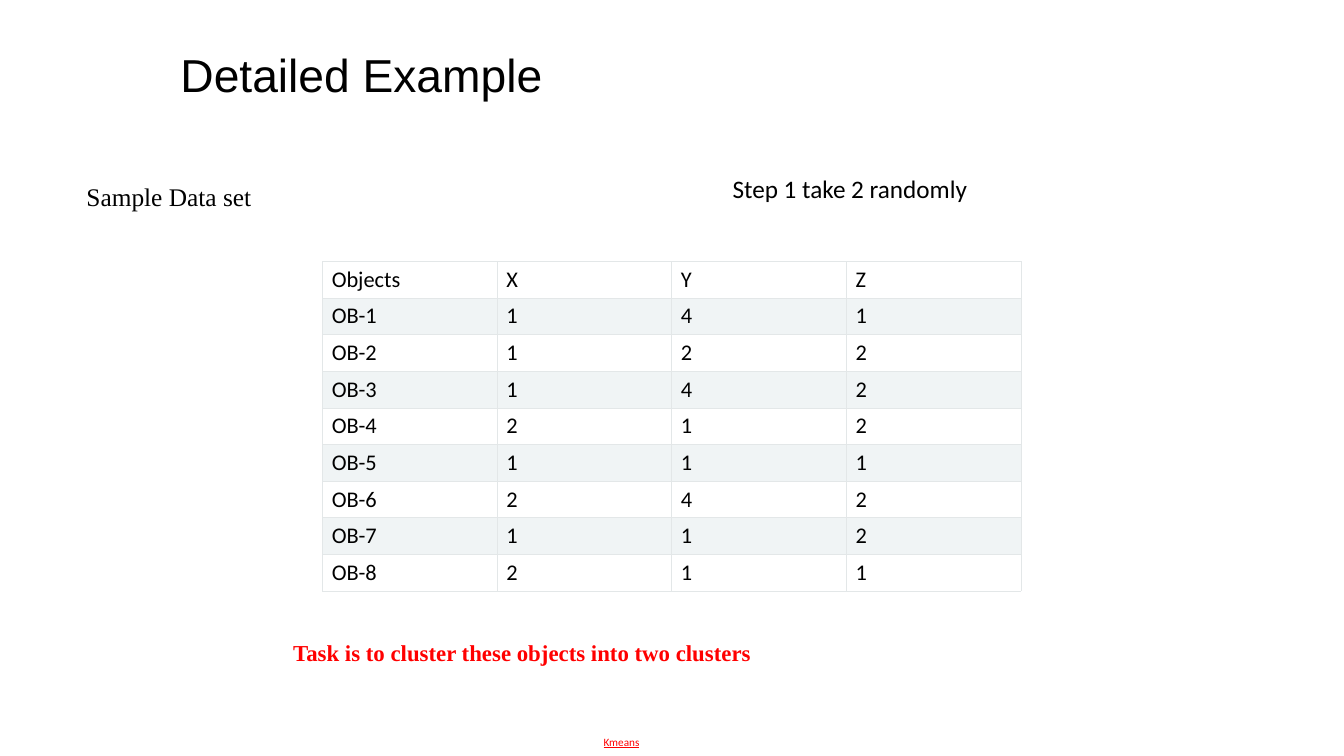
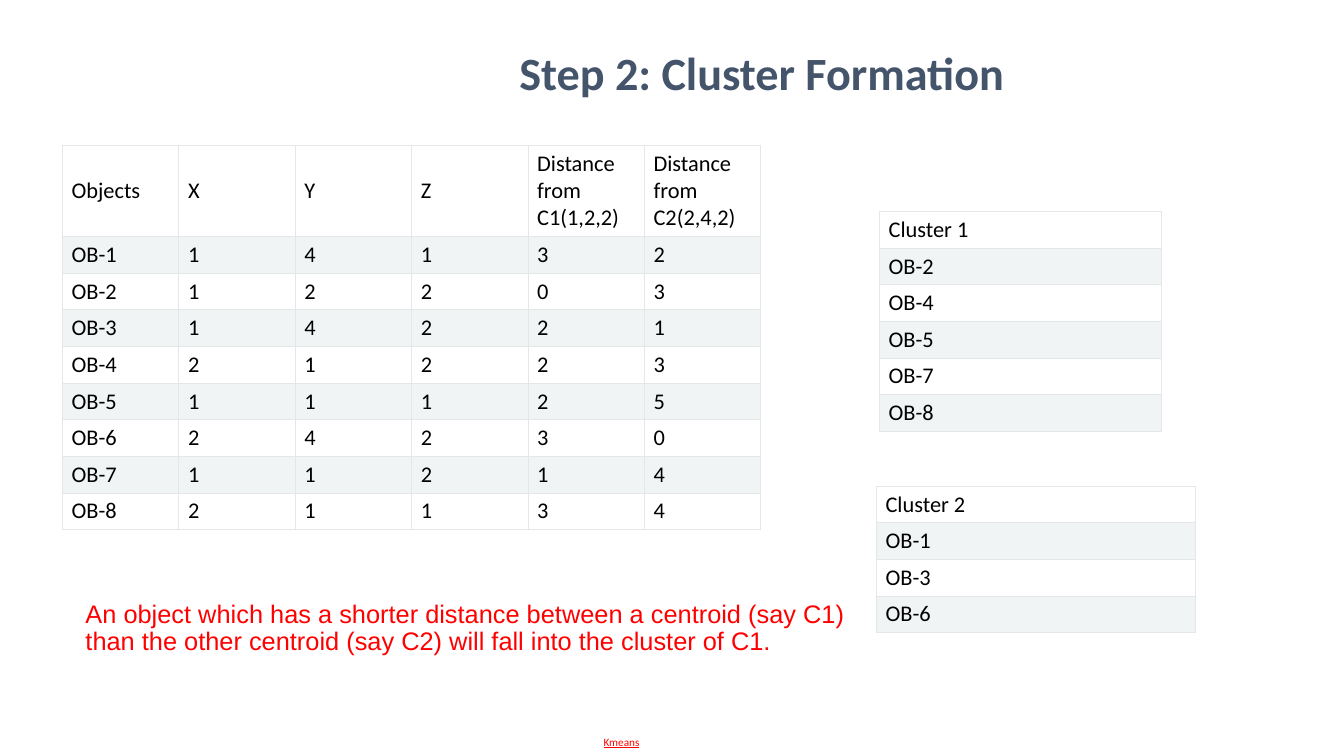
from lxml import etree
from pptx import Presentation
from pptx.dml.color import RGBColor
from pptx.enum import text as t
from pptx.oxml import ns
from pptx.util import Pt

HUES = {"ink": "000000", "red": "FF0000", "slate": "44546A",
        "plain": "FFFFFF", "band": "F0F4F5", "edge": "E3E7E8"}
ROW = 26.1
LEFT, MID = t.PP_ALIGN.LEFT, t.PP_ALIGN.CENTER
KMEANS = {"name": "Calibri", "size": Pt(8), "underline": True}


def write(shape, box, words, hue, font, align=LEFT, space=1.0,
          anchor=t.MSO_ANCHOR.MIDDLE, wrap=True):
    """Place a shape and fill it with text in one format."""
    shape.left, shape.top, shape.width, shape.height = map(Pt, box)
    frame = shape.text_frame
    frame.text = words
    frame.auto_size = t.MSO_AUTO_SIZE.NONE
    frame.word_wrap = wrap
    frame.vertical_anchor = anchor
    para = frame.paragraphs[0]
    para.alignment = align
    para.line_spacing = space
    for run in para.runs:
        run.font.color.rgb = RGBColor.from_string(HUES[hue])
        for key, value in font.items():
            setattr(run.font, key, value)


def grid(slide, left, top, width, rows, head=ROW):
    """Add a table with thin borders and every second row shaded."""
    count = len(rows[0])
    table = slide.shapes.add_table(len(rows), count, Pt(left), Pt(top), Pt(width),
                                   Pt(head + ROW * (len(rows) - 1))).table
    table.first_row = table.horz_banding = False
    for col in table.columns:
        col.width = Pt(width / count)
    for r, row in enumerate(rows):
        table.rows[r].height = Pt(ROW if r else head)
        for c, value in enumerate(row):
            cell = table.cell(r, c)
            cell.text = str(value)
            cell.vertical_anchor = t.MSO_ANCHOR.MIDDLE
            cell.margin_left = cell.margin_right = Pt(6.6)
            cell.margin_top = cell.margin_bottom = Pt(3.3)
            font = cell.text_frame.paragraphs[0].runs[0].font
            font.name, font.size = "Calibri", Pt(16)
            font.color.rgb = RGBColor.from_string(HUES["ink"])
            props = cell._tc.get_or_add_tcPr()
            for side in ("lnL", "lnR", "lnT", "lnB"):
                line = etree.SubElement(props, ns.qn(f"a:{side}"), w=str(Pt(0.6)))
                fill = etree.SubElement(line, ns.qn("a:solidFill"))
                etree.SubElement(fill, ns.qn("a:srgbClr"), val=HUES["edge"])
            cell.fill.solid()
            shade = HUES["band" if r % 2 else "plain"]
            cell.fill.fore_color.rgb = RGBColor.from_string(shade)


points = [(1, 4, 1), (1, 2, 2), (1, 4, 2), (2, 1, 2),
          (1, 1, 1), (2, 4, 2), (1, 1, 2), (2, 1, 1)]
gaps = [(3, 2), (0, 3), (2, 1), (2, 3), (2, 5), (3, 0), (1, 4), (3, 4)]
names = [f"OB-{n}" for n in range(1, len(points) + 1)]
heads = ["Objects", "X", "Y", "Z"]

deck = Presentation()
deck.slide_width, deck.slide_height = Pt(960), Pt(540)
data, step = [deck.slides.add_slide(deck.slide_layouts[5]) for _ in range(2)]
for slide in (data, step):
    write(slide.shapes.add_textbox(0, 0, 0, 0), (282, 515.5, 324, 29), "Kmeans",
          "red", KMEANS, MID)

# Sample data
write(data.shapes.title, (121.7, 37.7, 828, 35.3), "Detailed Example", "ink",
      {"name": "Arial", "size": Pt(33)}, space=0.9)
grid(data, 230.4, 186.7, 499, [heads] + [[n, *p] for n, p in zip(names, points)])
labels = [
    ((54.7, 126, 133, 29.5), "Sample Data set", "ink",
     {"name": "Times New Roman", "size": Pt(18.1)}, False),
    ((202.3, 453, 480, 27.4), "Task is to cluster these objects into two clusters", "red",
     {"name": "Times New Roman", "size": Pt(16.3), "bold": True}, True),
    ((516.2, 120.2, 184, 29), "Step 1 take 2 randomly", "ink",
     {"name": "Calibri", "size": Pt(18)}, False),
]
for box, words, hue, font, wrap in labels:
    write(data.shapes.add_textbox(0, 0, 0, 0), box, words, hue, font,
          anchor=t.MSO_ANCHOR.TOP, wrap=wrap)

# Cluster formation
write(step.shapes.title, (87, 23.8, 914.4, 55.4), "Step 2: Cluster Formation", "slate",
      {"name": "Calibri", "size": Pt(33), "bold": True}, MID)
far = ["Distance from C1(1,2,2)", "Distance from C2(2,4,2)"]
grid(step, 44.6, 103.7, 499,
     [heads + far] + [[n, *p, *g] for n, p, g in zip(names, points, gaps)], 65.3)
near = [[n for n, (a, b) in zip(names, gaps) if a < b],
        [n for n, (a, b) in zip(names, gaps) if b < a]]
spots = [(628.2, 151, 201), (626, 347.2, 228)]
for k, (spot, group) in enumerate(zip(spots, near), 1):
    grid(step, *spot, [[f"Cluster {k}"]] + [[n] for n in group])
write(step.shapes.add_textbox(0, 0, 0, 0), (54, 404, 864, 90),
      "An object which has a shorter distance between a centroid (say C1)\v"
      "than the other centroid (say C2) will fall into the cluster of C1.",
      "red", {"name": "Arial", "size": Pt(18.1)}, space=0.9)

deck.save("out.pptx")
